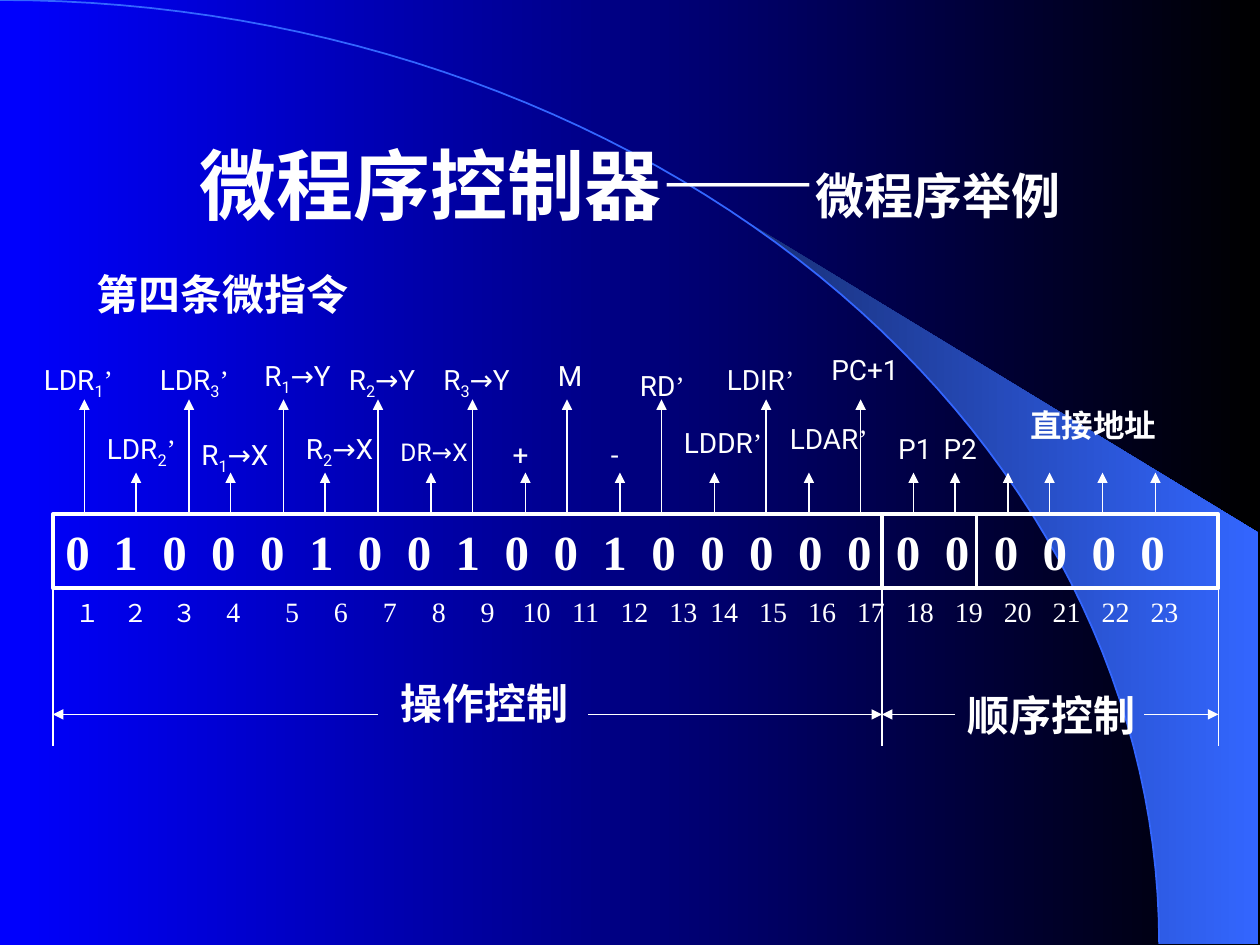
import math

from lxml import etree
from pptx import Presentation
from pptx.dml.color import RGBColor
from pptx.enum.shapes import MSO_CONNECTOR, MSO_SHAPE
from pptx.enum.text import MSO_ANCHOR, PP_ALIGN
from pptx.oxml.ns import qn
from pptx.util import Inches, Pt

STRAIGHT = MSO_CONNECTOR.STRAIGHT
RECTANGLE = MSO_SHAPE.RECTANGLE
MIDDLE = MSO_ANCHOR.MIDDLE
LEFT, CENTER = PP_ALIGN.LEFT, PP_ALIGN.CENTER

WHITE = RGBColor(0xFF, 0xFF, 0xFF)
BLACK = RGBColor(0x00, 0x00, 0x00)
BLUE = RGBColor(0x00, 0x00, 0xFF)
NAVY = RGBColor(0x18, 0x2F, 0x76)
SKY = RGBColor(0x33, 0x66, 0xFF)

SANS, SERIF, TITLE_FONT = "Roboto", "Times New Roman", "Arial"
SLIDE_WIDTH, SLIDE_HEIGHT = 10, 7.5
ARC_WIDTH, ARC_HEIGHT = 9.2, 7.49
SWEEP_LEFT, SWEEP_RIGHT, SWEEP_SIDE_TOP = 5.89, 9.99, 4.23

WORD_LEFT, WORD_RIGHT = 0.42, 9.67
WORD_TOP, WORD_BOTTOM = 4.08, 4.67
TEST_LEFT, ADDRESS_LEFT = 7, 7.75
SPAN_Y, SPAN_BOTTOM = 5.67, 5.92
BITS = "01000100100100000000000"
BIT_CENTER, BIT_STEP = 0.61, 8.54 / 22
NUMBER_GROUPS = [(0.69, "１２３4"), (2.32, range(5, 14)), (5.75, range(14, 24))]

TALL_ARROWS = (3.17, [0.67, 1.5, 2.25, 3, 3.75, 4.5, 5.25, 6.08, 6.83])
SHORT_ARROWS = (3.75, [1.08, 1.83, 2.58, 3.42, 4.17, 4.92, 5.67, 6.42,
                       7.25, 7.58, 8, 8.33, 8.75, 9.17])
SIGNALS = [
    (0.25, 2.83, "LDR", "1", "’"),
    (0.75, 3.38, "LDR", "2", "’"),
    (1.17, 2.83, "LDR", "3", "’"),
    (2, 2.8, "R", "1", "→Y"),
    (2.33, 3.38, "R", "2", "→X"),
    (2.67, 2.83, "R", "2", "→Y"),
    (1.5, 3.42, "R", "1", "→X"),
    (3.42, 2.83, "R", "3", "→Y"),
    (3.97, 3.42, "+", "", ""),
    (4.33, 2.8, "M", "", ""),
    (4.75, 3.42, "-", "", ""),
    (4.98, 2.88, "RD", "", "’"),
    (5.33, 3.33, "LDDR", "", "’"),
    (5.67, 2.83, "LDIR", "", "’"),
    (6.17, 3.3, "LDAR", "", "’"),
    (6.5, 2.75, "PC+1", "", ""),
    (7.03, 3.38, "P1", "", ""),
    (7.39, 3.38, "P2", "", ""),
]
HEADINGS = [
    (0.67, 2.08, 3.5, "第四条微指令", 24),
    (8.08, 3.17, 1.33, "直接地址", 18),
    (3.08, 5.33, 2.25, "操作控制", 24),
    (7.58, 5.42, 1.67, "顺序控制", 24),
]


def set_gradient(fill, start, end):
    """Fill from left to right between two colours."""
    fill.gradient()
    fill.gradient_angle = 0
    for stop, position, color in zip(fill.gradient_stops, (0, 1), (start, end)):
        stop.position = position
        stop.color.rgb = color


def arc_points(start_x):
    """Return points on the quarter ellipse from start_x to its right end."""
    start = math.asin(start_x / ARC_WIDTH)
    steps = 60
    angles = [start + (math.pi / 2 - start) * i / steps for i in range(steps + 1)]
    return [(ARC_WIDTH * math.sin(a), ARC_HEIGHT * (1 - math.cos(a))) for a in angles]


def add_outline(slide, points, close):
    """Add a freeform through points given in inches."""
    places = [(Inches(x), Inches(y)) for x, y in points]
    builder = slide.shapes.build_freeform(*places[0])
    builder.add_line_segments(places[1:], close=close)
    shape = builder.convert_to_shape()
    shape.shadow.inherit = False
    return shape


def add_backdrop(slide):
    """Add the background gradient, the sweep and the arc."""
    set_gradient(slide.background.fill, BLUE, BLACK)
    corners = [(SWEEP_RIGHT, ARC_HEIGHT), (SWEEP_RIGHT, SWEEP_SIDE_TOP)]
    sweep = add_outline(slide, arc_points(SWEEP_LEFT) + corners, True)
    set_gradient(sweep.fill, NAVY, SKY)
    sweep.line.fill.background()
    arc = add_outline(slide, arc_points(0), False)
    arc.fill.background()
    arc.line.color.rgb = SKY
    arc.line.width = Pt(1)


def add_run(paragraph, text, size, font=SANS, bold=False, subscript=False):
    """Add one white run."""
    run = paragraph.add_run()
    run.text = text
    run.font.size = Pt(size)
    run.font.name = font
    run.font.bold = bold
    run.font.color.rgb = WHITE
    if subscript:
        run.font._element.set("baseline", "-25000")


def add_text_box(slide, left, top, width, height):
    """Add a wrapping text box and return its shape."""
    shape = slide.shapes.add_textbox(Inches(left), Inches(top), Inches(width), Inches(height))
    shape.text_frame.word_wrap = True
    return shape


def add_line(slide, start, end, width=0.75, arrow=False):
    """Add a straight white line, with an arrowhead at its end if asked."""
    line = slide.shapes.add_connector(STRAIGHT, *map(Inches, start + end))
    line.line.color.rgb = WHITE
    line.line.width = Pt(width)
    if arrow:
        outline = line.line._get_or_add_ln()
        etree.SubElement(outline, qn("a:tailEnd"), type="triangle")
    etree.SubElement(line._element.spPr, qn("a:effectLst"))


def add_centered_tabs(paragraph, positions):
    """Give the paragraph centred tab stops at the positions in inches."""
    tabs = etree.SubElement(paragraph._p.get_or_add_pPr(), qn("a:tabLst"))
    for position in positions:
        etree.SubElement(tabs, qn("a:tab"), pos=str(Inches(position)), algn="ctr")


def add_title(slide):
    """Add the two-size title."""
    shape = add_text_box(slide, 0.75, 1, 8.5, 0.92)
    shape.text_frame.vertical_anchor = MIDDLE
    paragraph = shape.text_frame.paragraphs[0]
    paragraph.alignment = CENTER
    add_run(paragraph, "微程序控制器——", 44, TITLE_FONT, True)
    add_run(paragraph, "微程序举例", 28, TITLE_FONT, True)


def add_signal(slide, left, top, name, subscript, ending, size=16):
    """Add a control signal label."""
    paragraph = add_text_box(slide, left, top, 0.92, 0.4).text_frame.paragraphs[0]
    add_run(paragraph, name, size)
    if subscript:
        add_run(paragraph, subscript, size, subscript=True)
    if ending:
        add_run(paragraph, ending, size, SERIF if ending == "’" else SANS)


def add_instruction_word(slide):
    """Add the framed bits with their numbers below."""
    frame = slide.shapes.add_shape(RECTANGLE, *map(Inches, (
        WORD_LEFT, WORD_TOP, WORD_RIGHT - WORD_LEFT, WORD_BOTTOM - WORD_TOP)))
    frame.shadow.inherit = False
    frame.fill.background()
    frame.line.color.rgb = WHITE
    frame.line.width = Pt(2.25)
    frame.text_frame.vertical_anchor = MIDDLE
    paragraph = frame.text_frame.paragraphs[0]
    paragraph.alignment = LEFT
    text_left = WORD_LEFT + 0.1
    add_centered_tabs(paragraph, [BIT_CENTER + BIT_STEP * i - text_left for i in range(len(BITS))])
    add_run(paragraph, "".join("\t" + bit for bit in BITS), 28, SERIF, True)

    paragraph = add_text_box(slide, 0.5, WORD_BOTTOM, 9.17, 0.37).text_frame.paragraphs[0]
    add_centered_tabs(paragraph, [start + BIT_STEP * i - 0.6
                                  for start, numbers in NUMBER_GROUPS
                                  for i in range(len(numbers))])
    numbers = [str(number) for _, group in NUMBER_GROUPS for number in group]
    add_run(paragraph, "".join("\t" + number for number in numbers[:3]), 14, SERIF)
    add_run(paragraph, "".join("\t" + number for number in numbers[3:]), 16, SERIF)


def add_diagram_lines(slide):
    """Add the signal arrows, field dividers and span arrows."""
    for tip, positions in (TALL_ARROWS, SHORT_ARROWS):
        for x in positions:
            add_line(slide, (x, WORD_TOP), (x, tip), arrow=True)
    for x in (TEST_LEFT, ADDRESS_LEFT):
        add_line(slide, (x, WORD_TOP), (x, WORD_BOTTOM), 2.25)
    for x in (WORD_LEFT, TEST_LEFT, WORD_RIGHT):
        add_line(slide, (x, WORD_BOTTOM), (x, SPAN_BOTTOM))
    for start, end in ((3, WORD_LEFT), (4.67, TEST_LEFT), (7.58, TEST_LEFT), (9.08, WORD_RIGHT)):
        add_line(slide, (start, SPAN_Y), (end, SPAN_Y), arrow=True)


def main():
    """Build and save the slide."""
    presentation = Presentation()
    presentation.slide_width = Inches(SLIDE_WIDTH)
    presentation.slide_height = Inches(SLIDE_HEIGHT)
    slide = presentation.slides.add_slide(presentation.slide_layouts[6])
    add_backdrop(slide)
    add_title(slide)
    add_instruction_word(slide)
    add_diagram_lines(slide)
    for signal in SIGNALS:
        add_signal(slide, *signal)
    add_signal(slide, 3.08, 3.42, "DR→X", "", "", 14)
    for left, top, width, text, size in HEADINGS:
        shape = add_text_box(slide, left, top, width, 0.5)
        add_run(shape.text_frame.paragraphs[0], text, size, bold=True)
    presentation.save("out.pptx")


if __name__ == "__main__":
    main()
